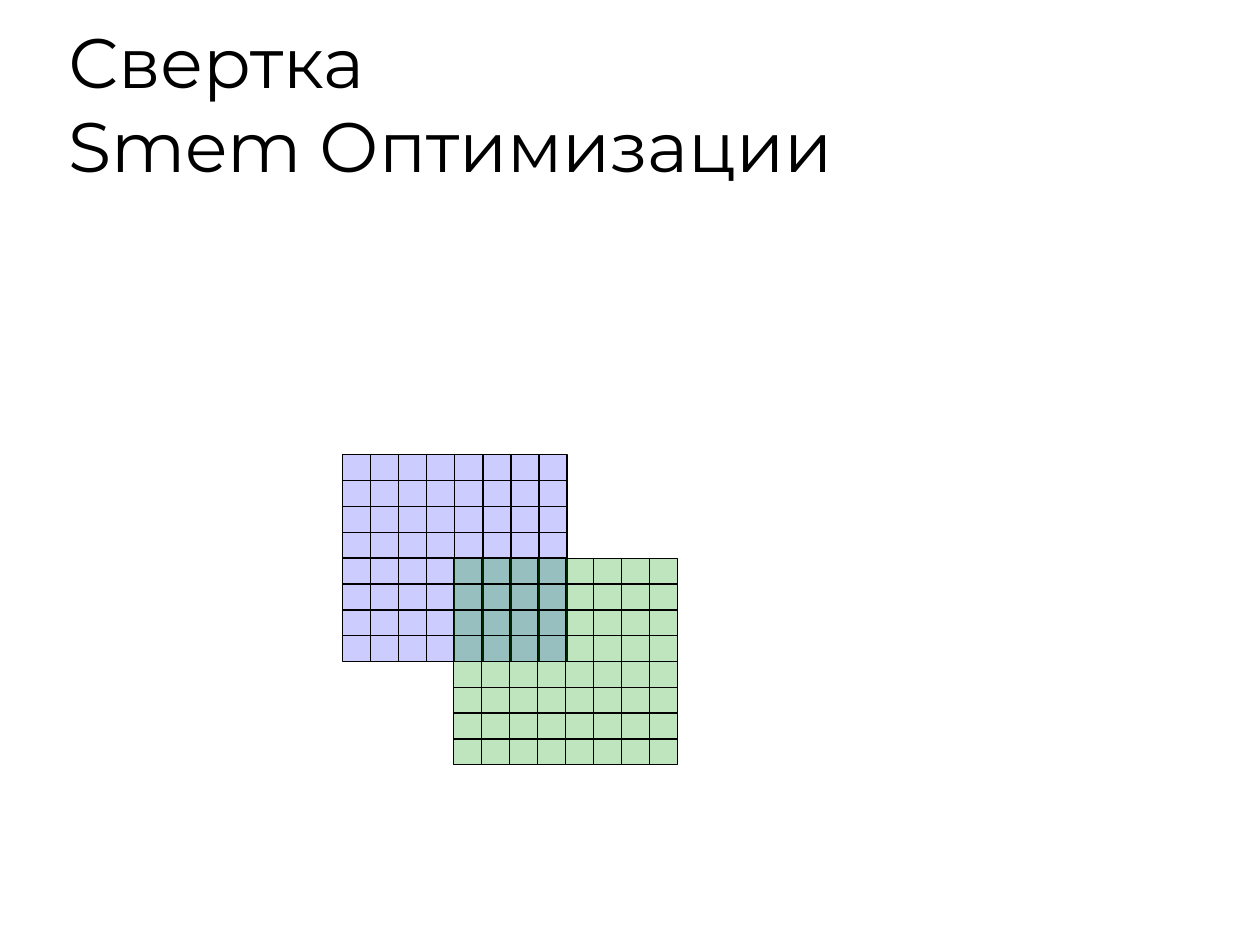
from dataclasses import dataclass
from itertools import product

from lxml import etree
from pptx import Presentation
from pptx.dml.color import RGBColor
from pptx.enum.shapes import MSO_SHAPE
from pptx.enum.text import MSO_ANCHOR, MSO_AUTO_SIZE, PP_ALIGN
from pptx.oxml.ns import qn
from pptx.util import Inches, Pt

RECTANGLE = MSO_SHAPE.RECTANGLE
BOTTOM = MSO_ANCHOR.BOTTOM
NO_AUTOFIT = MSO_AUTO_SIZE.NONE
LEFT = PP_ALIGN.LEFT
TITLE_ONLY = 5


@dataclass(frozen=True)
class Theme:
    """Colours, font and sizes of the slide."""

    font: str = "Montserrat"
    ink: RGBColor = RGBColor.from_string("000000")
    first_tile: RGBColor = RGBColor.from_string("CCCCFF")
    second_tile: RGBColor = RGBColor.from_string("009900")
    title_size: int = 40
    line_width: float = 0.75


def set_attributes(target, values):
    """Set each named attribute of the target."""
    for name, value in values.items():
        setattr(target, name, value)


class SlideBuilder:
    """Adds styled elements to the current slide."""

    def __init__(self, slide, theme):
        """Keep the slide and its theme."""
        self.slide = slide
        self.theme = theme

    def title(self, text, left, top, width, height):
        """Place and format the title placeholder."""
        shape = self.slide.shapes.title
        set_attributes(shape, {
            "left": Inches(left), "top": Inches(top),
            "width": Inches(width), "height": Inches(height),
        })
        set_attributes(shape.text_frame, {
            "text": text, "word_wrap": True, "auto_size": NO_AUTOFIT,
            "vertical_anchor": BOTTOM, "margin_bottom": Inches(0.02),
        })
        paragraph = shape.text_frame.paragraphs[0]
        paragraph.alignment = LEFT
        for run in paragraph.runs:
            set_attributes(run.font, {
                "name": self.theme.font, "size": Pt(self.theme.title_size),
            })
            run.font.color.rgb = self.theme.ink

    def cell(self, shapes, left, top, width, height, color, opacity):
        """Draw one outlined cell of a tile."""
        shape = shapes.add_shape(
            RECTANGLE, Inches(left), Inches(top), Inches(width), Inches(height))
        shape.shadow.inherit = False
        shape.fill.solid()
        shape.fill.fore_color.rgb = color
        shape.line.color.rgb = self.theme.ink
        shape.line.width = Pt(self.theme.line_width)
        if opacity < 100:
            fill_color = shape.fill._xPr.find(qn("a:solidFill"))[0]
            alpha = etree.SubElement(fill_color, qn("a:alpha"))
            alpha.set("val", str(opacity * 1000))

    def tile(self, shapes, left, top, color, opacity=100,
             width=1.78, height=1.64, count=8):
        """Draw a square grid of equal cells."""
        cell_width, cell_height = width / count, height / count
        for row, column in product(range(count), repeat=2):
            self.cell(shapes, left + column * cell_width, top + row * cell_height,
                      cell_width, cell_height, color, opacity)


def main():
    """Build and save the slide."""
    presentation = Presentation()
    presentation.slide_width = Inches(10)
    presentation.slide_height = Inches(7.5)
    slide = presentation.slides.add_slide(presentation.slide_layouts[TITLE_ONLY])
    theme = Theme()
    builder = SlideBuilder(slide, theme)
    builder.title("Свертка \vSmem Оптимизации", 0.44, 0.25, 8.5, 1.25)
    builder.tile(slide.shapes, 2.72, 3.61, theme.first_tile)
    group = slide.shapes.add_group_shape()
    builder.tile(group.shapes, 3.6, 4.43, theme.second_tile, opacity=25)
    presentation.save("out.pptx")


if __name__ == "__main__":
    main()
